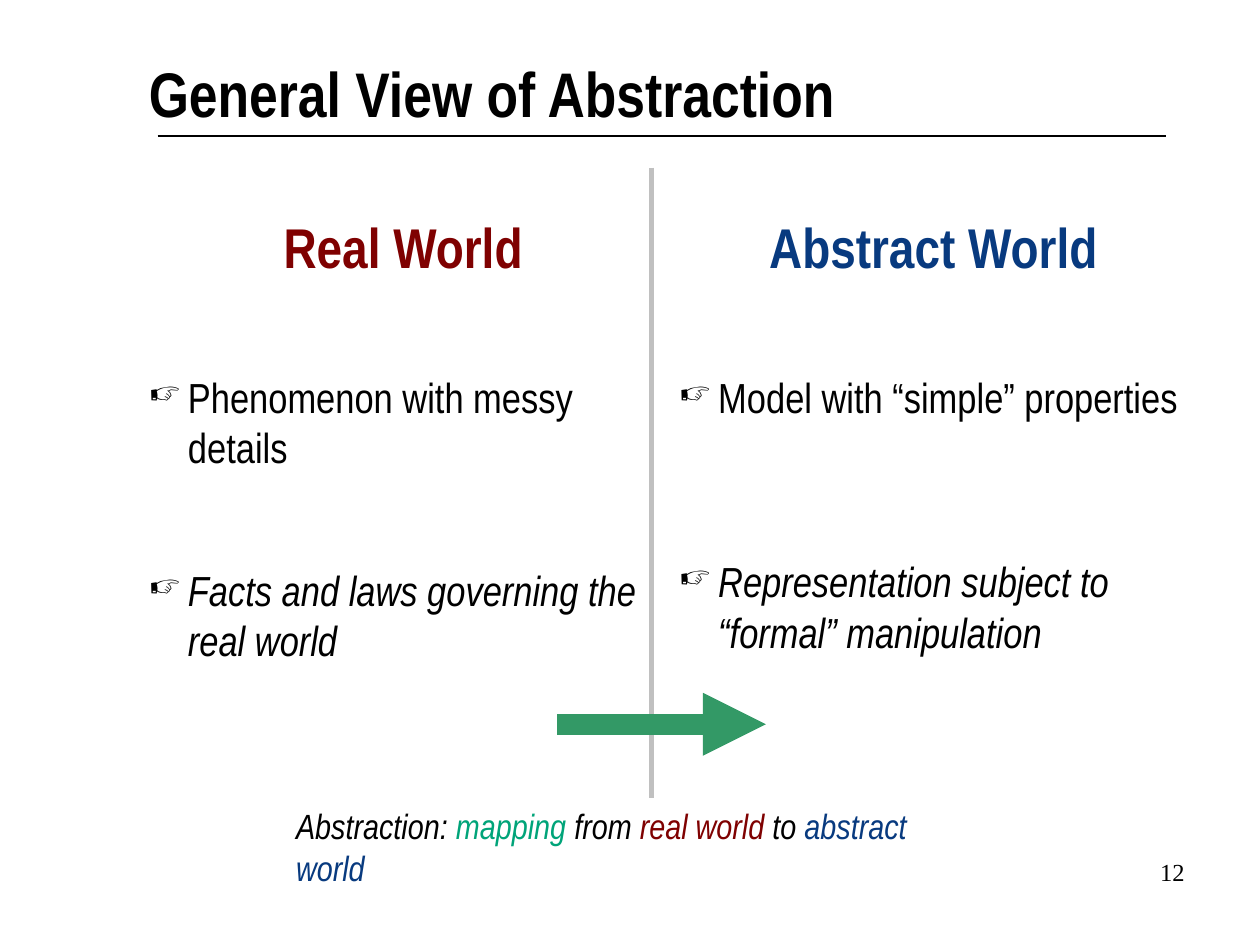
from lxml import etree
from pptx import Presentation
from pptx import util as u
from pptx.dml.color import RGBColor
from pptx.enum import shapes, text
from pptx.oxml.ns import qn

SANS, SERIF = "Arial Narrow", "Times New Roman"
BLACK, RED, BLUE, MINT = "000000", "7F0101", "083A7F", "00A479"
GREY, GREEN = "C0C0C0", "339966"

# Content: each bullet is (text, italic, space before in points)
TITLE = "General View of Abstraction"
COLUMNS = [
    ("Real World", RED, [
        ("Phenomenon with messy details", False, 52.6),
        ("Facts and laws governing the real world", True, 52.6),
    ]),
    ("Abstract World", BLUE, [
        ("Model with “simple” properties", False, 52.6),
        ("Representation subject to “formal” manipulation", True, 76.5),
    ]),
]
CAPTION = [("Abstraction: ", BLACK), ("mapping", MINT), (" from ", BLACK),
           ("real world", RED), (" to ", BLACK), ("abstract world", BLUE)]
PAGE_NUMBER = "12"

# Lines: start, end (cm), colour, width in points, arrowhead
LINES = [
    ((3.18, 2.74), (23.5, 2.74), BLACK, 0.75, False),
    ((13.13, 3.38), (13.13, 16.08), GREY, 3, False),
    ((11.23, 14.6), (15.44, 14.6), GREEN, 12, True),
]
LEFT, COLUMN_TOP, COLUMN_WIDTH, COLUMN_STEP = 3, 4.28, 10.26, 10.69
INDENT = u.Cm(0.79)


def color(value):
    return RGBColor.from_string(value)


def style(run, size, value, font=SANS, bold=False, italic=False):
    run.font.name = font
    run.font.size = u.Pt(size)
    run.font.color.rgb = color(value)
    run.font.bold = bold
    run.font.italic = italic


def add_box(slide, left, top, width, height, inset=(0, 0), wrap=True):
    shape = slide.shapes.add_textbox(*map(u.Cm, (left, top, width, height)))
    frame = shape.text_frame
    frame.word_wrap = wrap
    frame.margin_left = frame.margin_right = u.Cm(inset[0])
    frame.margin_top = frame.margin_bottom = u.Cm(inset[1])
    return frame


def add_bullet(paragraph):
    properties = paragraph._p.get_or_add_pPr()
    properties.set("marL", str(INDENT))
    properties.set("indent", str(-INDENT))
    bullet_color = etree.SubElement(properties, qn("a:buClr"))
    etree.SubElement(bullet_color, qn("a:srgbClr"), val=BLACK)
    etree.SubElement(properties, qn("a:buSzPct"), val="75000")
    etree.SubElement(properties, qn("a:buChar"), char="☞")


def add_column(slide, left, heading, heading_color, bullets):
    frame = add_box(slide, left, COLUMN_TOP, COLUMN_WIDTH, 12.2)
    frame.text = heading
    frame.paragraphs[0].alignment = text.PP_ALIGN.CENTER
    style(frame.paragraphs[0].runs[0], 32, heading_color, bold=True)
    for words, italic, gap in bullets:
        paragraph = frame.add_paragraph()
        paragraph.text = words
        add_bullet(paragraph)
        paragraph.space_before = u.Pt(gap)
        style(paragraph.runs[0], 24, BLACK, italic=italic)


def add_line(slide, start, end, value, width, arrow):
    line = slide.shapes.add_connector(
        shapes.MSO_CONNECTOR.STRAIGHT, *map(u.Cm, start + end))
    line.line.color.rgb = color(value)
    line.line.width = u.Pt(width)
    if arrow:
        etree.SubElement(line.line._get_or_add_ln(), qn("a:tailEnd"),
                         type="triangle")
    etree.SubElement(line._element.spPr, qn("a:effectLst"))


def main():
    presentation = Presentation()
    presentation.slide_width, presentation.slide_height = u.Cm(25.4), u.Cm(19.05)
    slide = presentation.slides.add_slide(presentation.slide_layouts[6])

    # Title
    frame = add_box(slide, LEFT, 1.09, 19.43, 1.8)
    frame.text = TITLE
    style(frame.paragraphs[0].runs[0], 36, BLACK, bold=True)

    # The two worlds
    for index, column in enumerate(COLUMNS):
        add_column(slide, LEFT + index * COLUMN_STEP, *column)

    # Title rule, divider and mapping arrow
    for line in LINES:
        add_line(slide, *line)

    # Caption
    frame = add_box(slide, 5.72, 16.08, 14.35, 1.12, (0.25, 0.13), wrap=False)
    for words, value in CAPTION:
        run = frame.paragraphs[0].add_run()
        run.text = words
        style(run, 20, value, italic=True)

    # Page number
    frame = add_box(slide, 18.85, 17.15, 5.28, 1.27, (0.25, 0.13))
    frame.text = PAGE_NUMBER
    frame.paragraphs[0].alignment = text.PP_ALIGN.RIGHT
    style(frame.paragraphs[0].runs[0], 14, BLACK, font=SERIF)

    presentation.save("out.pptx")


if __name__ == "__main__":
    main()
